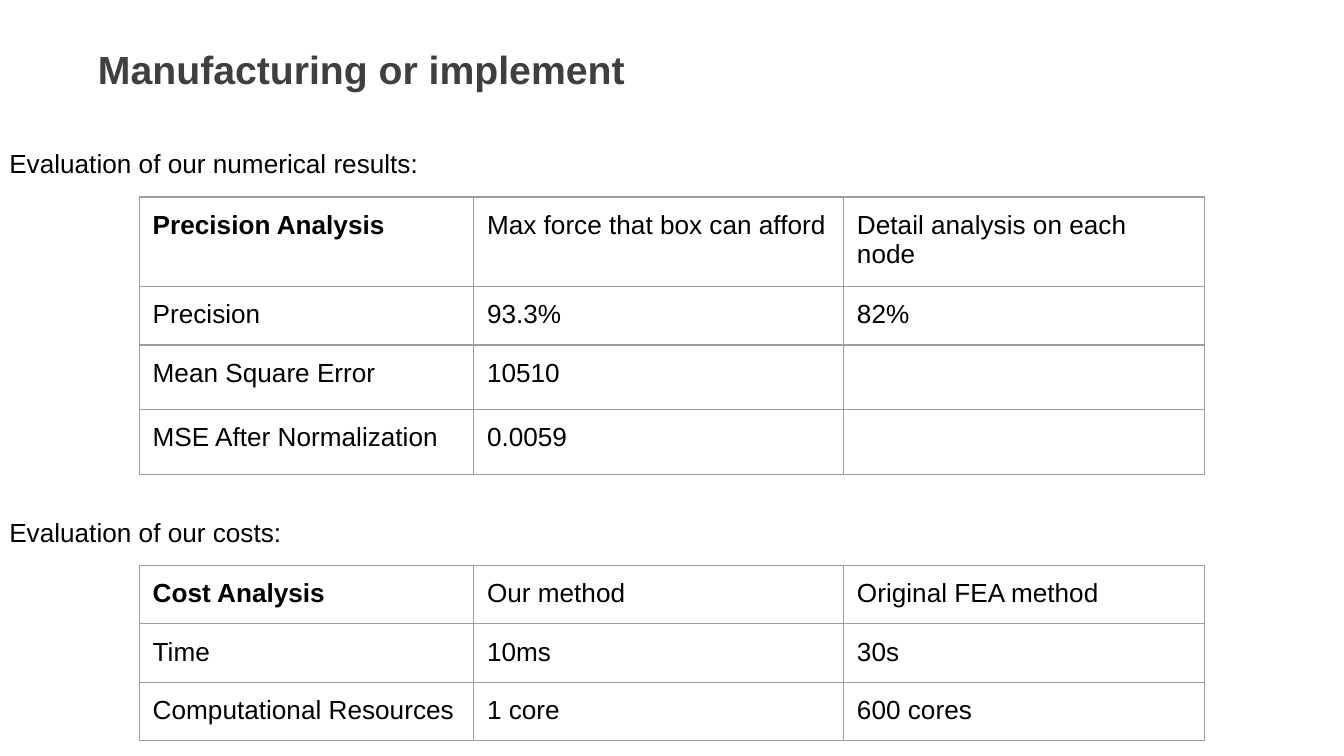
from pptx import Presentation
from pptx.util import Pt
from pptx.dml.color import RGBColor
from pptx.enum.text import MSO_ANCHOR as ANCHOR, PP_ALIGN as ALIGN, MSO_AUTO_SIZE as AUTOSIZE
from pptx.oxml import parse_xml
from pptx.oxml.ns import nsdecls

COLORS = {"text": "000000", "title": "3F3F3F", "border": "9E9E9E"}
INSETS = {"margin_left": Pt(5), "margin_right": Pt(5),
          "margin_top": Pt(2.7), "margin_bottom": Pt(2.7), "word_wrap": True}
CELL = {f"margin_{side}": Pt(7.2) for side in ("left", "right", "top", "bottom")}


def add_text(p, text, size=14, color="text", bold=False):
    r = p.add_run()
    r.text = text
    fmt = {"name": "Arial", "size": Pt(size), "bold": bold}
    for key, value in fmt.items():
        setattr(r.font, key, value)
    r.font.color.rgb = RGBColor.from_string(COLORS[color])


def add_borders(cell):
    tcPr = cell._tc.get_or_add_tcPr()
    for i, side in enumerate(("lnL", "lnR", "lnT", "lnB")):
        tcPr.insert(i, parse_xml(
            f'<a:{side} {nsdecls("a")} w="{Pt(0.75)}"><a:solidFill>'
            f'<a:srgbClr val="{COLORS["border"]}"/></a:solidFill></a:{side}>'))


prs = Presentation()
prs.slide_width, prs.slide_height = Pt(720), Pt(405)
s = prs.slides.add_slide(prs.slide_layouts[5])

title = s.shapes.title
title.left, title.top, title.width, title.height = Pt(47.5), Pt(10.1), Pt(630.7), Pt(53.3)
tf = title.text_frame
for key, value in {**INSETS, "vertical_anchor": ANCHOR.MIDDLE, "auto_size": AUTOSIZE.NONE}.items():
    setattr(tf, key, value)
tf.paragraphs[0].alignment = ALIGN.LEFT
add_text(tf.paragraphs[0], "Manufacturing or implement", 21, "title", True)

body = s.shapes.add_textbox(Pt(0), Pt(71.3), Pt(720), Pt(245.5))
tf = body.text_frame
for key, value in INSETS.items():
    setattr(tf, key, value)
headings = [("Evaluation of our numerical results:", 0), ("Evaluation of our costs:", 175.7)]
for i, (text, gap) in enumerate(headings):
    p = tf.add_paragraph() if i else tf.paragraphs[0]
    p.line_spacing = 1.3
    p.space_before = Pt(gap)
    add_text(p, text)

col_widths = [179.1, 198.2, 193.5]
tables = [
    (105.6, [46.1, 30.2, 34.6, 34.6], [
        ["Precision Analysis", "Max force that box can afford", "Detail analysis on each node"],
        ["Precision", "93.3%", "82%"],
        ["Mean Square Error", "10510", ""],
        ["MSE After Normalization", "0.0059", ""]]),
    (303, [30.2] * 3, [
        ["Cost Analysis", "Our method", "Original FEA method"],
        ["Time", "10ms", "30s"],
        ["Computational Resources", "1 core", "600 cores"]]),
]
for top, heights, rows in tables:
    frame = s.shapes.add_table(len(rows), len(col_widths), Pt(74.6), Pt(top),
                               Pt(sum(col_widths)), Pt(sum(heights)))
    table = frame.table
    table.first_row = table.horz_banding = False
    for col, width in zip(table.columns, col_widths):
        col.width = Pt(width)
    for r, (height, row) in enumerate(zip(heights, rows)):
        table.rows[r].height = Pt(height)
        for c, text in enumerate(row):
            cell = table.cell(r, c)
            cell.fill.background()
            add_borders(cell)
            if text:
                for key, value in CELL.items():
                    setattr(cell, key, value)
                add_text(cell.text_frame.paragraphs[0], text, bold=r == c == 0)

prs.save("out.pptx")
